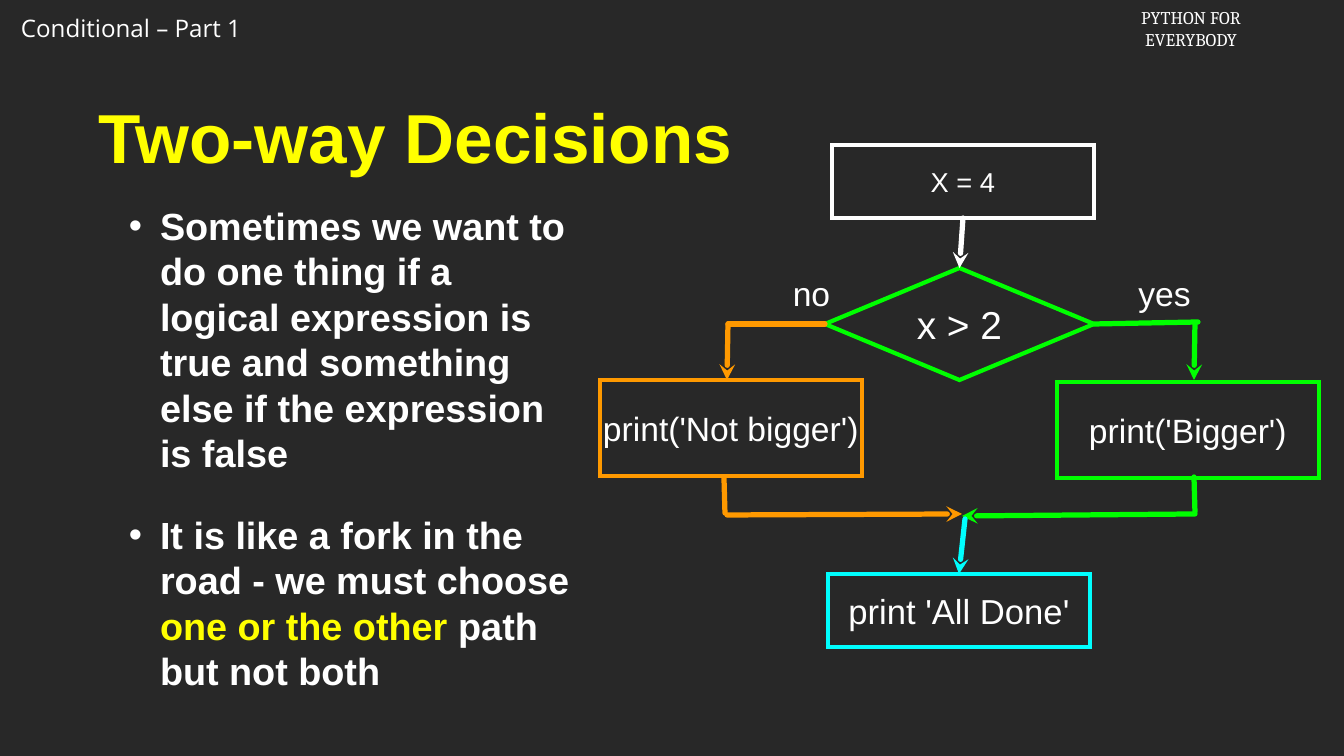
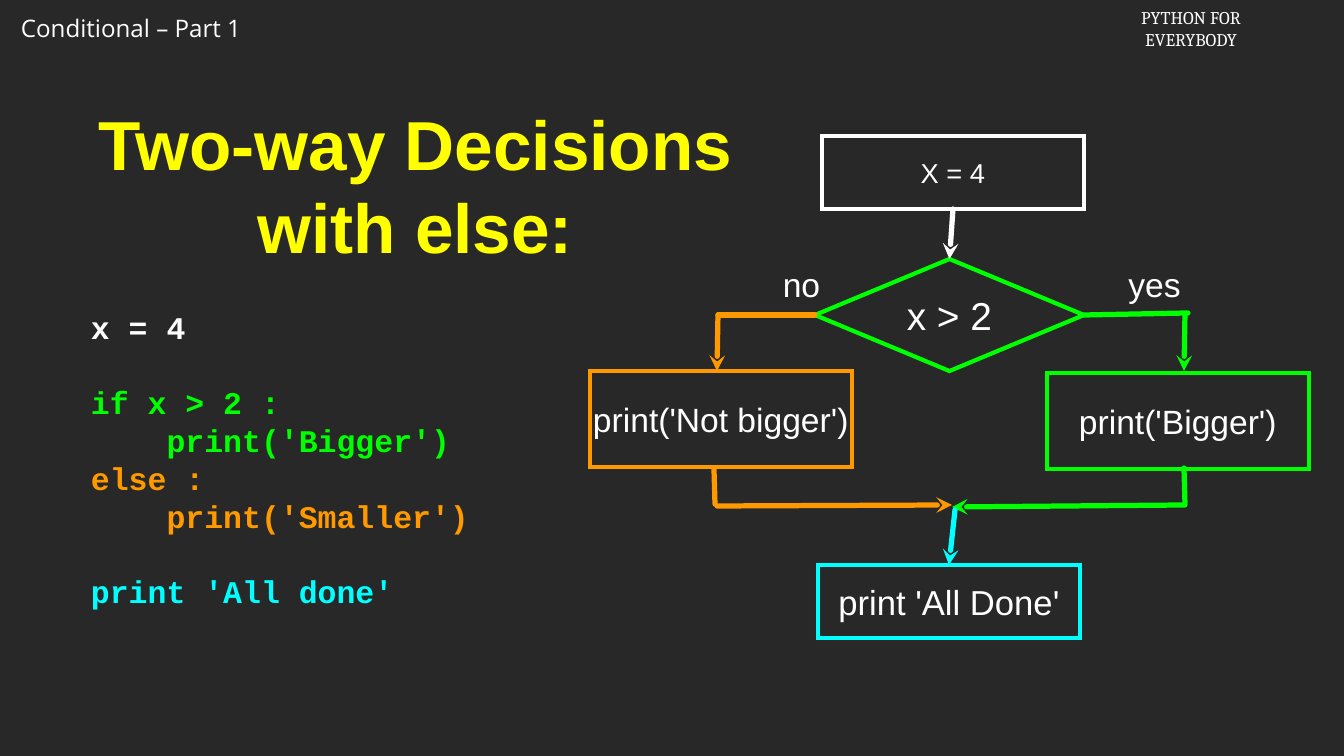
"""Build two slides on two-way decisions, each with a flowchart."""
from lxml import etree
from pptx import Presentation
from pptx.dml.color import RGBColor
from pptx.enum.shapes import MSO_CONNECTOR, MSO_SHAPE
from pptx.enum.text import MSO_ANCHOR, PP_ALIGN
from pptx.oxml.ns import qn
from pptx.util import Emu, Pt

STRAIGHT = MSO_CONNECTOR.STRAIGHT
DIAMOND, RECTANGLE = MSO_SHAPE.DIAMOND, MSO_SHAPE.RECTANGLE
TOP, MIDDLE = MSO_ANCHOR.TOP, MSO_ANCHOR.MIDDLE
LEFT, CENTER = PP_ALIGN.LEFT, PP_ALIGN.CENTER
SITE_TOP, SITE_LEFT, SITE_BOTTOM, SITE_RIGHT = range(4)

EMU_PER_PX = 12095
SLIDE_SIZE = (1344, 756)
LINE_FACTOR = 1.2
BOX_LINE, ARROW_LINE = 4, 5

COLORS = {
    "background": "282828",
    "white": "FFFFFF",
    "yellow": "FFFF00",
    "green": "00FF00",
    "orange": "FF9900",
    "cyan": "00FFFF",
}

HEADERS = [
    ((14, 9, 248, 37), ["Conditional – Part 1"], "Open Sans", 23, LEFT),
    ((1125, 3, 132, 54), ["PYTHON FOR", "EVERYBODY"], "Cambria", 17, CENTER),
]

BULLETS = [
    [("Sometimes we want to do one thing if a logical expression is true "
      "and something else if the expression is false", "white")],
    [("It is like a fork in the road - we must choose ", "white"),
     ("one or the other", "yellow"),
     (" path but not both", "white")],
]

CODE_BLOCKS = [
    [("x = 4", "white")],
    [("if x > 2 :", "green"),
     ("    print('Bigger')", "green"),
     ("else :", "orange"),
     ("    print('Smaller')", "orange")],
    [("print 'All done'", "cyan")],
]

FLOW_BOXES = {
    "decision": (DIAMOND, (825, 268, 269, 112), "x > 2", 37, "green"),
    "bigger": (RECTANGLE, (1057, 382, 262, 96), "print('Bigger')", 32, "green"),
    "start": (RECTANGLE, (832, 145, 262, 73), "X = 4", 26, "white"),
    "not bigger": (RECTANGLE, (600, 380, 262, 96), "print('Not bigger')", 32, "orange"),
    "done": (RECTANGLE, (828, 574, 262, 73), "print 'All Done'", 33, "cyan"),
}

BRANCH_LABELS = [("yes", (1131, 272, 67, 42)), ("no", (791, 272, 41, 42))]

FLOW_LINES = [
    (("decision", SITE_RIGHT), (1198, 322), "green", False),
    ((1195, 324), (1194, 380), "green", True),
    ((1194, 477), (1195, 512), "green", False),
    ((1195, 514), (962, 516), "green", True),
    (("start", SITE_BOTTOM), ("decision", SITE_TOP), "white", True),
    (("decision", SITE_LEFT), (728, 324), "orange", False),
    ((728, 324), (727, 380), "orange", True),
    ((724, 478), (725, 513), "orange", False),
    ((727, 515), (962, 514), "orange", True),
    ((965, 519), ("done", SITE_TOP), "cyan", True),
]


def px(value):
    return Emu(value * EMU_PER_PX)


def color(name):
    return RGBColor.from_string(COLORS[name])


def shift(values, offset):
    return [px(value + delta) for value, delta in zip(values, offset)] + [
        px(value) for value in values[2:]]


def set_values(target, values):
    for name, value in values.items():
        setattr(target, name, value)


def prepare_frame(shape, anchor=MIDDLE, insets=(0, 0)):
    frame = shape.text_frame
    side, end = map(px, insets)
    set_values(frame, {
        "word_wrap": True, "vertical_anchor": anchor,
        "margin_left": side, "margin_right": side,
        "margin_top": end, "margin_bottom": end,
    })
    return frame


def write_paragraphs(frame, paragraphs, font, size, align=CENTER, bold=False, exact=False):
    """Write lists of (text, color) runs as paragraphs and return them."""
    written = []
    for number, runs in enumerate(paragraphs):
        paragraph = frame.add_paragraph() if number else frame.paragraphs[0]
        paragraph.alignment = align
        if exact:
            paragraph.line_spacing = Pt(size * LINE_FACTOR)
        for text, tone in runs:
            run = paragraph.add_run()
            run.text = text
            set_values(run.font, {"name": font, "size": Pt(size), "bold": bold})
            run.font.color.rgb = color(tone)
        written.append(paragraph)
    return written


def add_text(slide, place, paragraphs, font, size, offset=(0, 0),
             anchor=MIDDLE, insets=(0, 0), **style):
    box = slide.shapes.add_textbox(*shift(place, offset))
    frame = prepare_frame(box, anchor, insets)
    return write_paragraphs(frame, paragraphs, font, size, **style)


def add_flow_box(slide, kind, place, text, size, tone, offset):
    shape = slide.shapes.add_shape(kind, *shift(place, offset))
    shape.shadow.inherit = False
    shape.fill.background()
    shape.line.color.rgb = color(tone)
    shape.line.width = Pt(BOX_LINE)
    outline = shape.line._get_or_add_ln()
    etree.SubElement(outline, qn("a:miter"), lim="800000")
    write_paragraphs(prepare_frame(shape), [[(text, "white")]], "Arial", size)
    return shape


def add_flow_line(slide, boxes, start, end, tone, arrow, offset):
    ends = [(0, 0) if point[0] in boxes else shift(point, offset) for point in (start, end)]
    connector = slide.shapes.add_connector(STRAIGHT, *ends[0], *ends[1])
    for point, connect in ((start, connector.begin_connect), (end, connector.end_connect)):
        if point[0] in boxes:
            connect(boxes[point[0]], point[1])
    connector.line.color.rgb = color(tone)
    connector.line.width = Pt(ARROW_LINE)
    outline = connector.line._get_or_add_ln()
    outline.set("cap", "rnd")
    etree.SubElement(outline, qn("a:round"))
    if arrow:
        etree.SubElement(outline, qn("a:tailEnd"), type="stealth")
    etree.SubElement(connector._element.spPr, qn("a:effectLst"))


def add_flowchart(slide, offset):
    boxes = {name: add_flow_box(slide, *box, offset) for name, box in FLOW_BOXES.items()}
    for text, place in BRANCH_LABELS:
        add_text(slide, place, [[(text, "white")]], "Arial", 32, offset)
    for line in FLOW_LINES:
        add_flow_line(slide, boxes, *line, offset)


def add_bullets(slide):
    paragraphs = add_text(slide, (95, 215, 485, 466), BULLETS, "Arial", 36,
                          insets=(3, 3), align=LEFT, bold=True, exact=True)
    for number, paragraph in enumerate(paragraphs):
        properties = paragraph._p.get_or_add_pPr()
        properties.set("marL", str(px(62)))
        properties.set("indent", str(px(-31)))
        if number:
            paragraph.space_before = Pt(35)
        bullet_color = etree.SubElement(properties, qn("a:buClr"))
        etree.SubElement(bullet_color, qn("a:srgbClr"), val=COLORS["white"])
        etree.SubElement(properties, qn("a:buFont"), typeface="Arial")
        etree.SubElement(properties, qn("a:buChar"), char="•")


def add_code(slide):
    size = 30
    lines = [[line] for block in CODE_BLOCKS for line in block]
    paragraphs = add_text(slide, (91, 293, 398, 332), lines, "Courier New", size,
                          align=LEFT, bold=True, exact=True)
    first = 0
    for block in CODE_BLOCKS[:-1]:
        first += len(block)
        paragraphs[first].space_before = Pt(size * LINE_FACTOR)


SLIDES = [
    ("Two-way Decisions", 62, add_bullets, (0, 0)),
    ("Two-way Decisions with else:", 110, add_code, (-10, -9)),
]


def add_slide(presentation, title, title_top, add_content, chart_offset):
    slide = presentation.slides.add_slide(presentation.slide_layouts[6])
    slide.background.fill.solid()
    slide.background.fill.fore_color.rgb = color("background")
    for place, lines, font, size, align in HEADERS:
        add_text(slide, place, [[(line, "white")] for line in lines], font, size,
                 anchor=TOP, insets=(7, 4), align=align)
    add_text(slide, (95, title_top, 641, 148), [[(title, "yellow")]], "Arial", 66,
             insets=(3, 3), bold=True, exact=True)
    add_content(slide)
    add_flowchart(slide, chart_offset)


def main():
    presentation = Presentation()
    presentation.slide_width, presentation.slide_height = map(px, SLIDE_SIZE)
    for content in SLIDES:
        add_slide(presentation, *content)
    presentation.save("out.pptx")


if __name__ == "__main__":
    main()
